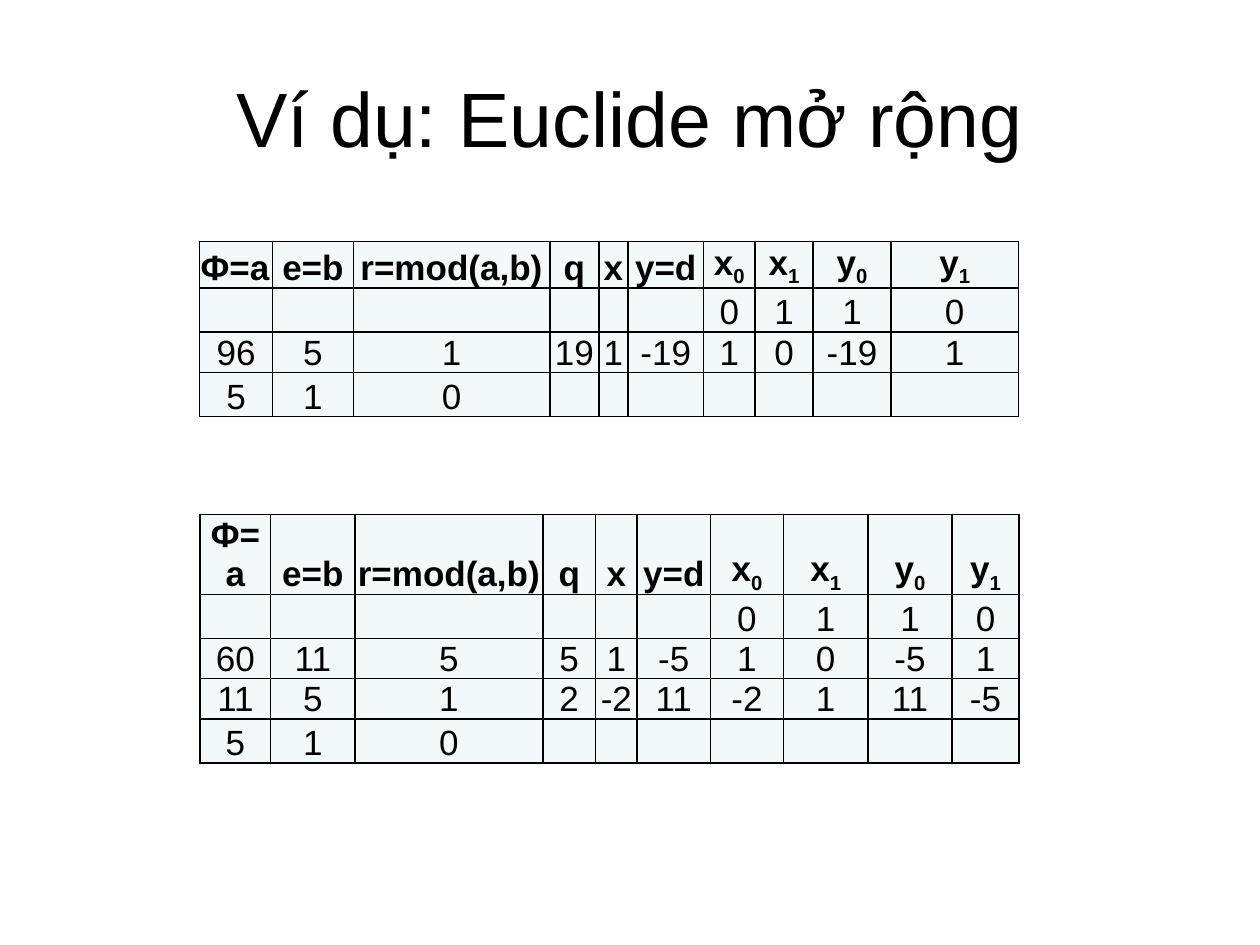
import pptx
import pptx.util
import pptx.dml.color
import pptx.enum.text
import pptx.oxml.ns
import lxml.etree

Pt = pptx.util.Pt
qn = pptx.oxml.ns.qn
CENTER = pptx.enum.text.PP_ALIGN.CENTER
LEFT = pptx.enum.text.PP_ALIGN.LEFT


def color(hex_code):
    return pptx.dml.color.RGBColor.from_string(hex_code)


def add_borders(cell):
    properties = cell._tc.get_or_add_tcPr()
    for side in ("a:lnL", "a:lnR", "a:lnT", "a:lnB"):
        line = lxml.etree.SubElement(properties, qn(side), w=str(Pt(1)))
        fill = lxml.etree.SubElement(line, qn("a:solidFill"))
        lxml.etree.SubElement(fill, qn("a:srgbClr"), val="000000")


presentation = pptx.Presentation()
presentation.slide_width, presentation.slide_height = Pt(720), Pt(540)
slide = presentation.slides.add_slide(presentation.slide_layouts[5])

# Title
title = slide.shapes.title
title.left, title.top, title.width, title.height = Pt(36), Pt(21.6), Pt(648), Pt(90)
title.text_frame.text = "Ví dụ: Euclide mở rộng"
title.text_frame.vertical_anchor = pptx.enum.text.MSO_ANCHOR.MIDDLE
heading = title.text_frame.paragraphs[0]
heading.alignment = CENTER
heading.runs[0].font.size = Pt(44)
heading.runs[0].font.name = "Arial"
heading.runs[0].font.color.rgb = color("000000")

# Both worked examples share the header; "_" precedes a subscript
header = ["Φ=a", "e=b", "r=mod(a,b)", "q", "x", "y=d", "x_0", "x_1", "y_0", "y_1"]
start = [""] * 6 + ["0", "1", "1", "0"]
end = ["5", "1", "0"] + [""] * 7
examples = [
    # left, top, alignment of the first header, column widths, row heights, steps
    (114, 138, LEFT,
     [41.8, 46.1, 112.3, 28.1, 16.6, 43.2, 29.5, 33.1, 44.6, 72.7],
     [26.6, 23, 23, 25.2],
     [["96", "5", "1", "19", "1", "-19", "1", "0", "-19", "1"]]),
    (114.4, 294, CENTER,
     [40.3, 48.2, 107.3, 30.2, 23.8, 41.8, 41.8, 48.2, 48.2, 38.2],
     [45.6, 23, 23, 23, 25.2],
     [["60", "11", "5", "5", "1", "-5", "1", "0", "-5", "1"],
      ["11", "5", "1", "2", "-2", "11", "-2", "1", "11", "-5"]]),
]

# Tables
for left, top, first_alignment, widths, heights, steps in examples:
    rows = [header, start, *steps, end]
    table = slide.shapes.add_table(
        len(rows), len(header), Pt(left), Pt(top), Pt(sum(widths)), Pt(sum(heights))
    ).table
    for column, width in zip(table.columns, widths):
        column.width = Pt(width)
    for row, height in zip(table.rows, heights):
        row.height = Pt(height)

    for r, values in enumerate(rows):
        for c, value in enumerate(values):
            cell = table.cell(r, c)
            add_borders(cell)
            cell.fill.solid()
            cell.fill.fore_color.rgb = color("F3F9FA")
            cell.margin_left = cell.margin_right = cell.margin_top = Pt(0.7)
            cell.margin_bottom = Pt(0)
            cell.vertical_anchor = pptx.enum.text.MSO_ANCHOR.BOTTOM
            paragraph = cell.text_frame.paragraphs[0]
            paragraph.alignment = first_alignment if r == c == 0 else CENTER
            if not value:
                lxml.etree.SubElement(paragraph._p, qn("a:endParaRPr"), sz="2000")
                continue
            for position, part in enumerate(value.split("_")):
                run = paragraph.add_run()
                run.text = part
                run.font.size = Pt(20)
                run.font.name = "Arial"
                run.font.bold = r == 0
                run.font.color.rgb = color("000000")
                if position:
                    run.font._element.set("baseline", "-25000")

presentation.save("out.pptx")
